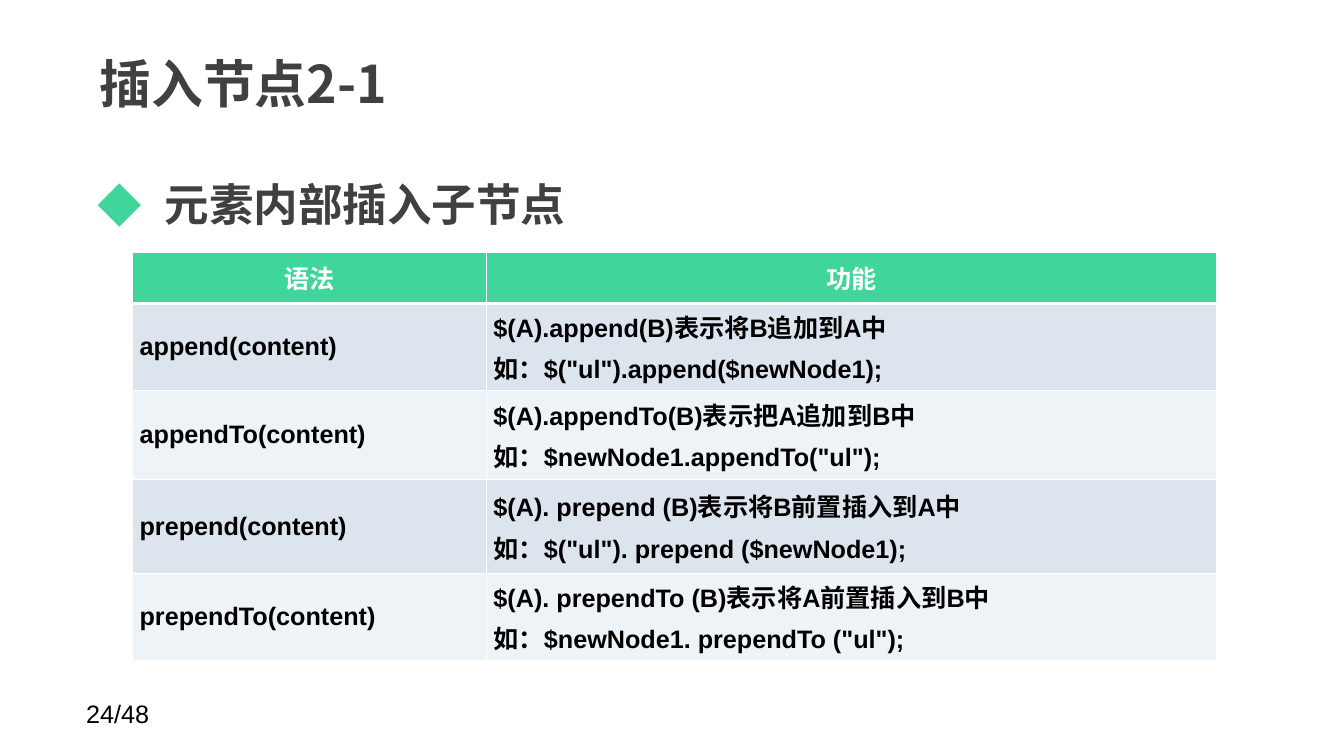
from dataclasses import dataclass

from lxml.etree import SubElement
from pptx import Presentation
from pptx.dml.color import RGBColor
from pptx.enum.text import MSO_ANCHOR, PP_ALIGN
from pptx.oxml.ns import qn
from pptx.util import Pt

PX = 9525  # EMU in one px, 96 px to the inch


@dataclass(frozen=True)
class Theme:
    latin: str = "Arial"
    cjk: str = "Noto Sans CJK SC"
    heading: str = "404040"
    accent: str = "40D59B"
    black: str = "000000"
    white: str = "FFFFFF"
    bands: tuple = ("DCE5EE", "EEF3F7")
    title_size: float = 37
    bullet_size: float = 31.8
    small_size: float = 18


def px(*lengths):
    return [length * PX for length in lengths]


def apply(target, values):
    for attribute, value in values.items():
        setattr(target, attribute, value)


def add_solid(parent, color):
    SubElement(SubElement(parent, qn("a:solidFill")), qn("a:srgbClr"), val=color)


class SlideBuilder:
    def __init__(self, presentation, theme):
        self.theme = theme
        self.slide = presentation.slides.add_slide(presentation.slide_layouts[5])

    def frame(self, text_frame, inset_x, inset_y, anchor):
        left, top = px(inset_x, inset_y)
        apply(text_frame, dict(
            word_wrap=True, vertical_anchor=anchor, margin_left=left,
            margin_right=left, margin_top=top, margin_bottom=top))

    def fill_paragraph(self, paragraph, text, size, color, font, bold=True,
                       align=PP_ALIGN.LEFT, before=0):
        """Add formatted text; before is the space above in percent of a line."""
        paragraph.alignment = align
        paragraph.space_before = Pt(0)
        if before:
            spacing = paragraph._p.pPr.find(qn("a:spcBef"))
            spacing.clear()
            SubElement(spacing, qn("a:spcPct"), val=str(before * 1000))
        run = paragraph.add_run()
        run.text = text
        apply(run.font, dict(size=Pt(size), bold=bold, name=font))
        run.font.color.rgb = RGBColor.from_string(color)
        SubElement(run.font._element, qn("a:ea"), typeface=self.theme.cjk)

    def title(self, text, *box):
        title = self.slide.shapes.title
        apply(title, dict(zip(("left", "top", "width", "height"), px(*box))))
        self.frame(title.text_frame, 12, 6, MSO_ANCHOR.MIDDLE)
        self.fill_paragraph(title.text_frame.paragraphs[0], text,
                            self.theme.title_size, self.theme.heading,
                            self.theme.cjk)

    def bullet(self, text, *box):
        theme = self.theme
        body = self.slide.shapes.add_textbox(*px(*box)).text_frame
        self.frame(body, 12, 6, MSO_ANCHOR.TOP)
        paragraph = body.paragraphs[0]
        paragraph.line_spacing = 1.5
        self.fill_paragraph(paragraph, text, theme.bullet_size, theme.heading,
                            theme.cjk, before=20)
        properties = paragraph._p.pPr
        indent = 64 * PX
        properties.set("marL", str(indent))
        properties.set("indent", str(-indent))
        SubElement(SubElement(properties, qn("a:buClr")), qn("a:srgbClr"),
                   val=theme.accent)
        SubElement(properties, qn("a:buFont"), typeface=theme.cjk)
        SubElement(properties, qn("a:buChar"), char="◆")

    def page_number(self, text, *box):
        footer = self.slide.shapes.add_textbox(*px(*box)).text_frame
        self.frame(footer, 10, 5, MSO_ANCHOR.TOP)
        self.fill_paragraph(footer.paragraphs[0], text, self.theme.small_size,
                            self.theme.black, self.theme.latin, bold=False)

    def borders(self, cell, **widths):
        for side, width in widths.items():
            line = SubElement(cell._tc.get_or_add_tcPr(), qn(f"a:ln{side}"),
                              w=str(Pt(width)))
            add_solid(line, self.theme.white)

    def cell(self, cell, text, row):
        theme, header = self.theme, row == 0
        self.borders(cell, L=1, R=1, T=3 if row == 1 else 1, B=3 if header else 1)
        cell.fill.solid()
        fill = theme.accent if header else theme.bands[(row - 1) % 2]
        cell.fill.fore_color.rgb = RGBColor.from_string(fill)
        apply(cell, dict(vertical_anchor=MSO_ANCHOR.MIDDLE, margin_left=7 * PX,
                         margin_right=7 * PX, margin_top=0, margin_bottom=0))
        for index, line in enumerate(text.split("\n")):
            frame = cell.text_frame
            paragraph = frame.add_paragraph() if index else frame.paragraphs[0]
            self.fill_paragraph(
                paragraph, line, theme.small_size,
                theme.white if header else theme.black, theme.latin,
                align=PP_ALIGN.CENTER if header else PP_ALIGN.LEFT, before=20)

    def table(self, rows, left, top, widths, heights):
        box = px(left, top, sum(widths), sum(heights))
        table = self.slide.shapes.add_table(len(rows), len(widths), *box).table
        for column, width in zip(table.columns, widths):
            column.width = width * PX
        for row, height in zip(table.rows, heights):
            row.height = height * PX
        for r, texts in enumerate(rows):
            for c, text in enumerate(texts):
                self.cell(table.cell(r, c), text, r)


METHODS = [
    ("语法", "功能"),
    ("append(content)",
     '$(A).append(B)表示将B追加到A中\n如：$("ul").append($newNode1);'),
    ("appendTo(content)",
     '$(A).appendTo(B)表示把A追加到B中\n如：$newNode1.appendTo("ul");'),
    ("prepend(content)",
     '$(A). prepend (B)表示将B前置插入到A中\n如：$("ul"). prepend ($newNode1);'),
    ("prependTo(content)",
     '$(A). prependTo (B)表示将A前置插入到B中\n如：$newNode1. prependTo ("ul");'),
]


def main():
    presentation = Presentation()
    apply(presentation, dict(slide_width=1280 * PX, slide_height=720 * PX))
    builder = SlideBuilder(presentation, Theme())
    builder.page_number("24/48", 72, 660, 224, 38)
    builder.title("插入节点2-1", 83, 29, 999, 99)
    builder.bullet("元素内部插入子节点", 81, 137, 1122, 506)
    builder.table(METHODS, 126, 240, widths=(337, 696), heights=(49, 83, 85, 89, 83))
    presentation.save("out.pptx")


if __name__ == "__main__":
    main()
